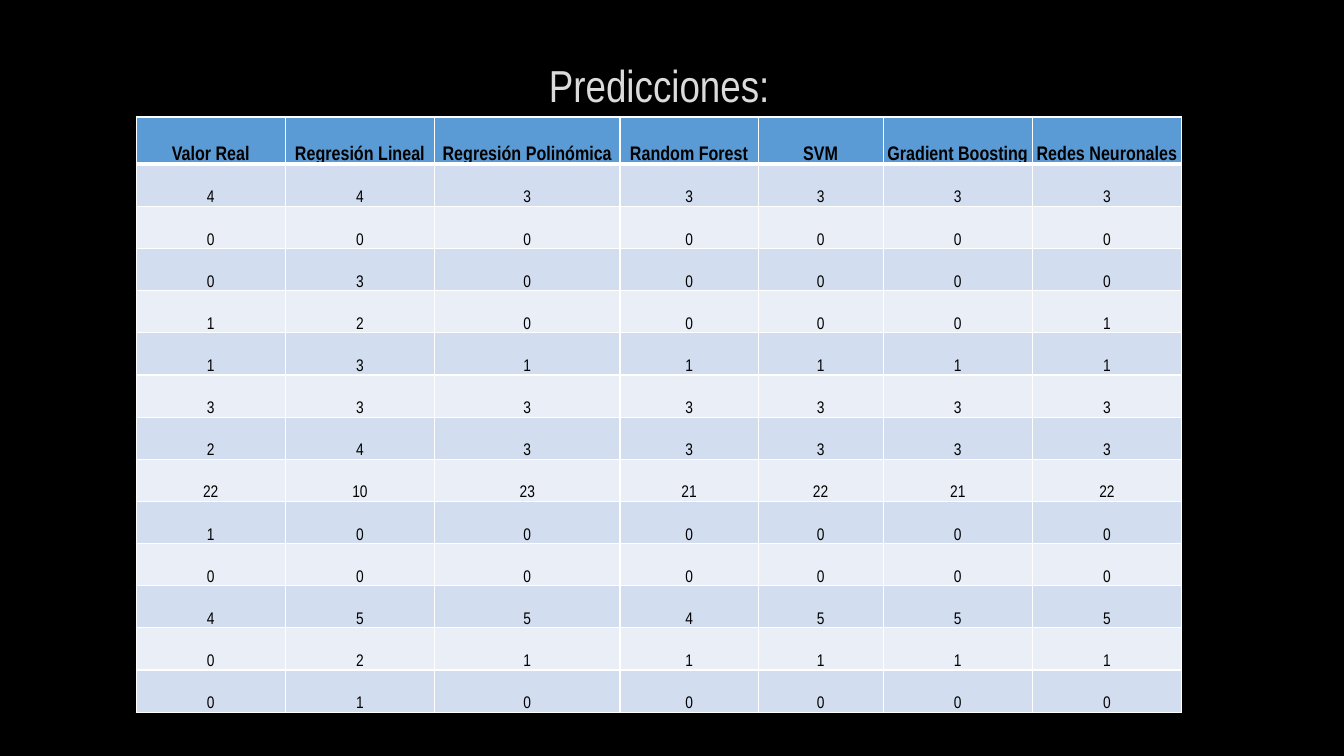
from dataclasses import dataclass

from pptx import Presentation
from pptx import util as u
from pptx.dml.color import RGBColor
from pptx.enum import text
from pptx.oxml import parse_xml
from pptx.oxml.ns import nsdecls


@dataclass(frozen=True)
class Theme:
    font: str = "Arial Narrow"
    background: str = "000000"
    title: str = "DBDBDB"
    cell_text: str = "000000"
    header: str = "5B9BD5"
    bands: tuple = ("D2DEEF", "EAEFF7")
    border: str = "FFFFFF"
    title_size: int = 32
    header_size: int = 14
    body_size: int = 12
    border_width: int = 1
    header_rule_width: int = 3


class SlideBuilder:
    def __init__(self, presentation, theme):
        self.theme = theme
        self.slide = presentation.slides.add_slide(presentation.slide_layouts[5])
        fill = self.slide.background.fill
        fill.solid()
        fill.fore_color.rgb = RGBColor.from_string(theme.background)

    def style(self, paragraph, size, color, bold=False):
        paragraph.alignment = text.PP_ALIGN.CENTER
        font = paragraph.font
        font.name, font.size, font.bold = self.theme.font, u.Pt(size), bold
        font.color.rgb = RGBColor.from_string(color)

    def title(self, words, left, top, width, height):
        shape = self.slide.shapes.title
        shape.left, shape.top = u.Inches(left), u.Inches(top)
        shape.width, shape.height = u.Inches(width), u.Inches(height)
        frame = shape.text_frame
        frame.text = words
        frame.word_wrap = True
        frame.auto_size = text.MSO_AUTO_SIZE.SHAPE_TO_FIT_TEXT
        frame.vertical_anchor = text.MSO_ANCHOR.TOP
        self.style(frame.paragraphs[0], self.theme.title_size, self.theme.title)

    def borders(self, cell, bottom_width):
        properties = cell._tc.get_or_add_tcPr()
        for side in ("L", "R", "T", "B"):
            width = bottom_width if side == "B" else self.theme.border_width
            properties.append(parse_xml(
                f'<a:ln{side} {nsdecls("a")} w="{u.Pt(width)}"><a:solidFill>'
                f'<a:srgbClr val="{self.theme.border}"/></a:solidFill></a:ln{side}>'))

    def cell(self, cell, words, row):
        theme, is_header = self.theme, row == 0
        cell.text = words
        cell.vertical_anchor = text.MSO_ANCHOR.BOTTOM
        cell.margin_left = cell.margin_top = cell.margin_right = u.Inches(0.01)
        cell.margin_bottom = 0
        self.borders(cell, theme.header_rule_width if is_header else theme.border_width)
        cell.fill.solid()
        color = theme.header if is_header else theme.bands[(row - 1) % 2]
        cell.fill.fore_color.rgb = RGBColor.from_string(color)
        size = theme.header_size if is_header else theme.body_size
        self.style(cell.text_frame.paragraphs[0], size, theme.cell_text, is_header)

    def table(self, rows, left, top, column_widths, header_height, height):
        table = self.slide.shapes.add_table(
            len(rows), len(column_widths), u.Inches(left), u.Inches(top),
            u.Inches(sum(column_widths)), u.Inches(height)).table
        for column, width in zip(table.columns, column_widths):
            column.width = u.Inches(width)
        body_height = (height - header_height) / (len(rows) - 1)
        for index, values in enumerate(rows):
            table.rows[index].height = u.Inches(body_height if index else header_height)
            for column, value in enumerate(values):
                self.cell(table.cell(index, column), str(value), index)


MODELS = ["Valor Real", "Regresión Lineal", "Regresión Polinómica", "Random Forest",
          "SVM", "Gradient Boosting", "Redes Neuronales"]
PREDICTIONS = [
    [4, 4, 3, 3, 3, 3, 3],
    [0, 0, 0, 0, 0, 0, 0],
    [0, 3, 0, 0, 0, 0, 0],
    [1, 2, 0, 0, 0, 0, 1],
    [1, 3, 1, 1, 1, 1, 1],
    [3, 3, 3, 3, 3, 3, 3],
    [2, 4, 3, 3, 3, 3, 3],
    [22, 10, 23, 21, 22, 21, 22],
    [1, 0, 0, 0, 0, 0, 0],
    [0, 0, 0, 0, 0, 0, 0],
    [4, 5, 5, 4, 5, 5, 5],
    [0, 2, 1, 1, 1, 1, 1],
    [0, 1, 0, 0, 0, 0, 0],
]


def main():
    presentation = Presentation()
    presentation.slide_width = u.Inches(13.33)
    presentation.slide_height = u.Inches(7.5)
    builder = SlideBuilder(presentation, Theme())

    # Title
    builder.title("Predicciones:", 1.56, 0.52, 9.96, 0.64)

    # Predictions by model
    builder.table([MODELS] + PREDICTIONS, left=1.35, top=1.16,
                  column_widths=[1.48, 1.48, 1.84, 1.37, 1.24, 1.48, 1.48],
                  header_height=0.47, height=5.91)

    presentation.save("out.pptx")


if __name__ == "__main__":
    main()
